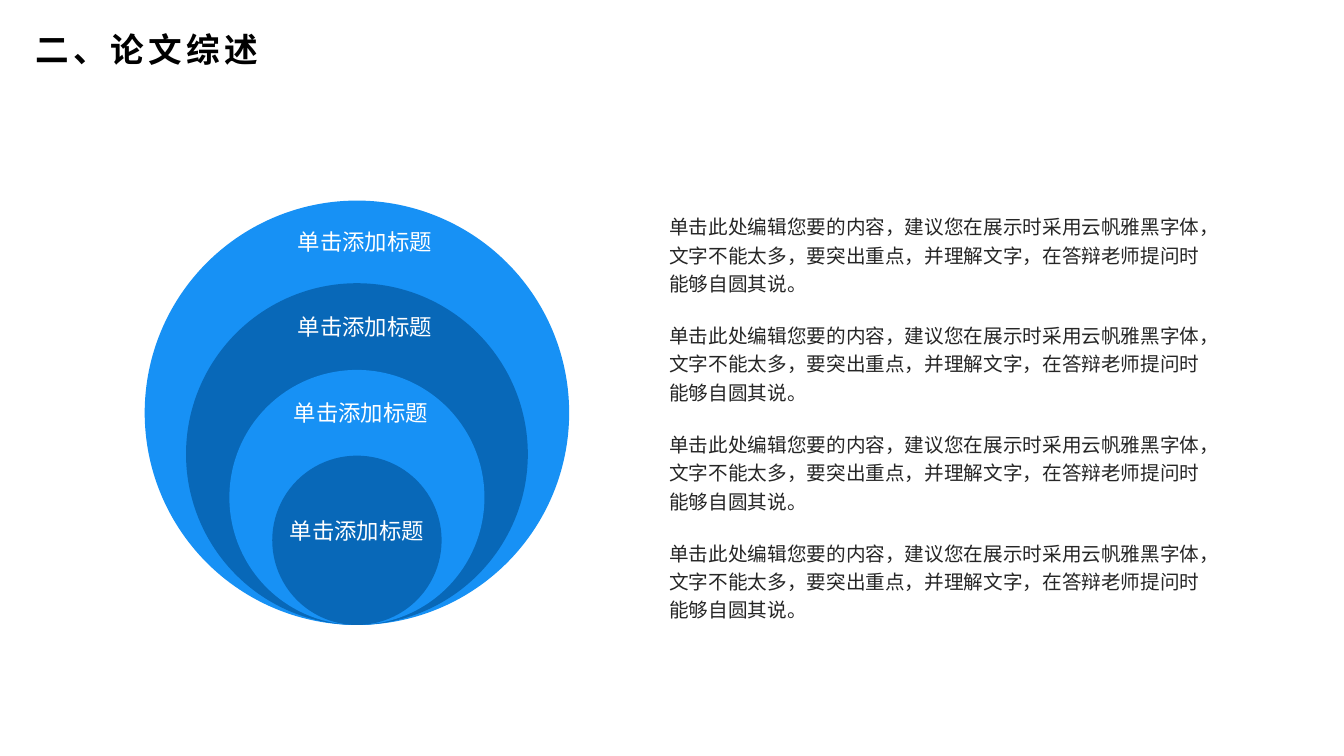
from pptx import Presentation
from pptx import util as u
from pptx.dml import color
from pptx.enum import shapes, text

LABEL = "单击添加标题"
BODY = ("单击此处编辑您要的内容，建议您在展示时采用云帆雅黑字体，文字不能太多，"
        "要突出重点，并理解文字，在答辩老师提问时能够自圆其说。")


def rgb(value):
    return color.RGBColor.from_string(value)


def write(shape, words, size, ink, font="Arial", bold=False, align=text.PP_ALIGN.LEFT,
          line_spacing=1.0, tracking=None):
    frame = shape.text_frame
    frame.word_wrap = True
    frame.auto_size = text.MSO_AUTO_SIZE.SHAPE_TO_FIT_TEXT
    frame.vertical_anchor = text.MSO_ANCHOR.TOP
    paragraph = frame.paragraphs[0]
    paragraph.alignment = align
    paragraph.line_spacing = line_spacing
    paragraph.space_before = u.Pt(0)
    run = paragraph.add_run()
    run.text = words
    run.font.name = font
    run.font.size = u.Pt(size)
    run.font.bold = bold
    run.font.color.rgb = rgb(ink)
    if tracking:
        run.font._element.set("spc", str(tracking * 100))


class ReviewSlide:
    """Holds the style and the current slide, and adds its elements."""

    light, dark, white, body_ink, title_ink = "1791F5", "0868B8", "FFFFFF", "262626", "000000"

    def __init__(self, presentation):
        self.slide = presentation.slides.add_slide(presentation.slide_layouts[5])

    def title(self, words, left, top, width, height):
        shape = self.slide.shapes.title
        shape.left, shape.top = u.Inches(left), u.Inches(top)
        shape.width, shape.height = u.Inches(width), u.Inches(height)
        write(shape, words, 24, self.title_ink, bold=True, tracking=3)

    def circle(self, center, bottom, diameter, fill):
        shape = self.slide.shapes.add_shape(
            shapes.MSO_SHAPE.OVAL, u.Inches(center - diameter / 2),
            u.Inches(bottom - diameter), u.Inches(diameter), u.Inches(diameter))
        shape.shadow.inherit = False
        shape.fill.solid()
        shape.fill.fore_color.rgb = rgb(fill)
        shape.line.fill.background()

    def text_box(self, words, left, top, width, height, **style):
        shape = self.slide.shapes.add_textbox(
            u.Inches(left), u.Inches(top), u.Inches(width), u.Inches(height))
        write(shape, words, **style)

    def label(self, top, width):
        self.text_box(LABEL, 2.74, top, width, 0.37, size=16, ink=self.white,
                      align=text.PP_ALIGN.CENTER)

    def body(self, top):
        self.text_box(BODY, 6.54, top, 5.56, 0.95, size=14, ink=self.body_ink,
                      line_spacing=1.2)


def main():
    presentation = Presentation()
    presentation.slide_width = u.Inches(13.33)
    presentation.slide_height = u.Inches(7.5)
    review = ReviewSlide(presentation)
    review.title("二、论文综述", 0.25, 0.24, 3.95, 0.5)
    for index, diameter in enumerate((4.21, 3.39, 2.53, 1.68)):
        review.circle(3.54, 6.2, diameter, review.dark if index % 2 else review.light)
    for top, width in ((2.21, 1.76), (3.06, 1.76), (3.91, 1.68), (5.08, 1.6)):
        review.label(top, width)
    for index in range(4):
        review.body(2.04 + 1.08 * index)
    presentation.save("out.pptx")


if __name__ == "__main__":
    main()
